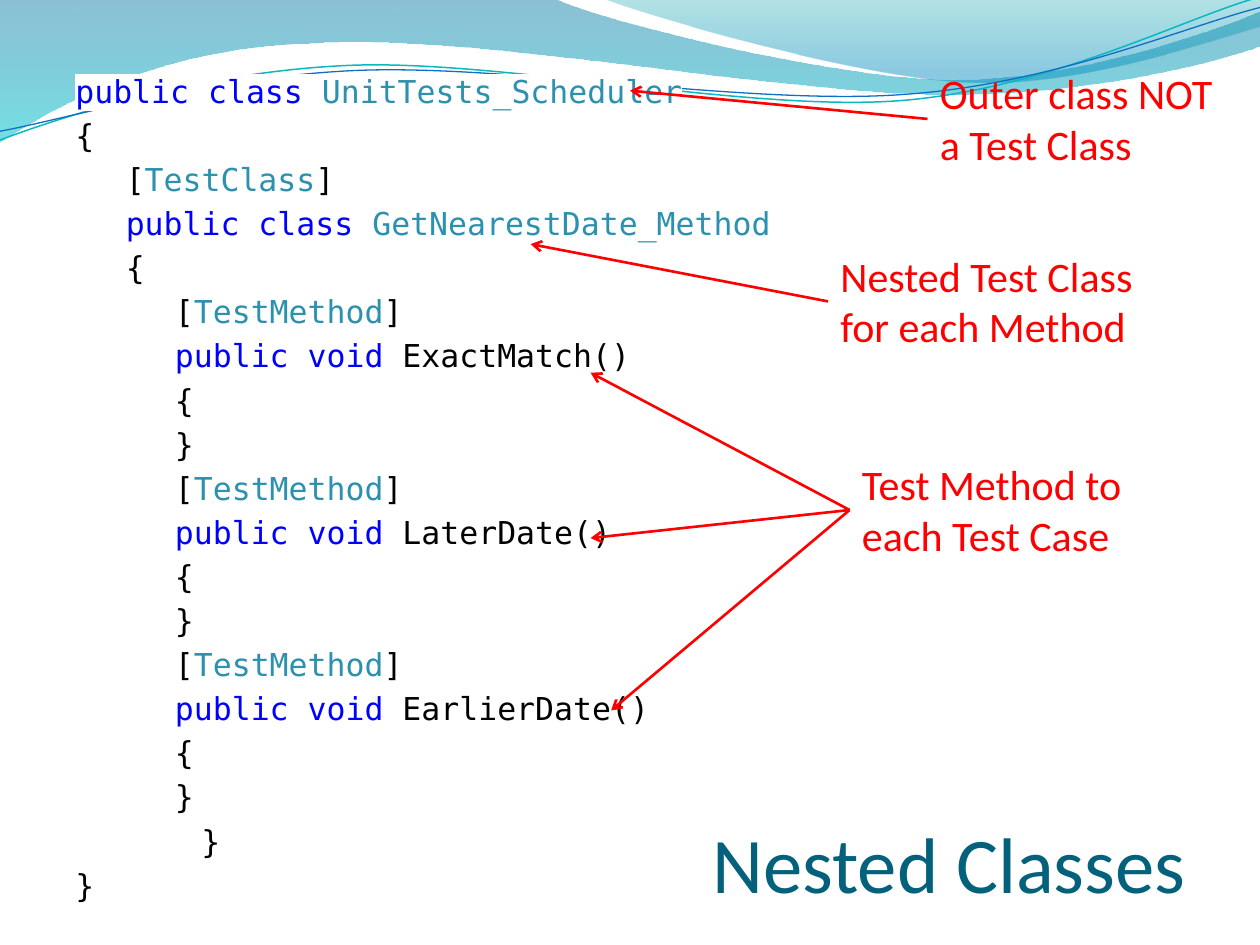
"""Builds the Nested Classes slide with annotated code and wave banner."""
from lxml import etree
from pptx import Presentation, util as u
from pptx.dml.color import RGBColor
from pptx.enum import shapes, text
from pptx.oxml.ns import qn

HUES = {
    "white": "FFFFFF", "black": "000000", "key": "0000FF", "type": "2B91AF",
    "note": "FF0000", "title": "04617B", "blue": "0F6FC6", "teal": "0AB8BF",
    "deep": "0074A1", "aqua": "00C6CF", "sea": "00A1A9", "sky": "008BBF",
}
KINDS = {word: "key" for word in ("public", "class", "void")}
KINDS.update({word: "type" for word in (
    "UnitTests_Scheduler", "TestClass", "GetNearestDate_Method", "TestMethod")})


class Deck:
    """Holds the style and the current slide."""
    sans, mono = "Calibri", "DejaVu Sans Mono"

    def __init__(self, wide, high):
        self.prs = Presentation()
        self.prs.slide_width, self.prs.slide_height = u.Pt(wide), u.Pt(high)
        self.slide = self.prs.slides.add_slide(self.prs.slide_layouts[6])

    def hue(self, name):
        return RGBColor.from_string(HUES[name])

    def font(self, run, size, name, hue):
        run.font.size, run.font.name = u.Pt(size), name
        run.font.color.rgb = self.hue(hue)

    def trace(self, start, steps, closed):
        dots = [(u.Pt(s[i]), u.Pt(s[i + 1])) for s in steps for i in range(0, len(s), 2)]
        pen = self.slide.shapes.build_freeform(u.Pt(start[0]), u.Pt(start[1]), scale=1.0)
        pen.add_line_segments(dots, close=closed)
        shape = pen.convert_to_shape()
        shape.shadow.inherit = False
        legs = iter(list(shape._element.spPr.iter(qn("a:lnTo"))))
        for step in steps:
            leg = next(legs)
            if len(step) == 6:
                leg.tag = qn("a:cubicBezTo")
                for _ in range(2):
                    more = next(legs)
                    leg.append(more[0])
                    more.getparent().remove(more)
        return shape

    def wave(self, start, steps, stops):
        shape = self.trace(start, steps, True)
        shape.line.fill.background()
        shape.fill.gradient()
        shape.fill.gradient_angle = 270
        for stop, (place, hue, _) in zip(shape.fill.gradient_stops, stops):
            stop.position = place
            stop.color.rgb = self.hue(hue)
        for node, (_, _, alpha) in zip(shape._element.spPr.iter(qn("a:srgbClr")), stops):
            etree.SubElement(node, qn("a:alpha"), val=str(alpha * 1000))

    def curve(self, start, steps, hue, width):
        shape = self.trace(start, steps, False)
        shape.fill.background()
        shape.line.color.rgb, shape.line.width = self.hue(hue), u.Pt(width)

    def box(self, x, y, w, h):
        frame = self.slide.shapes.add_textbox(u.Pt(x), u.Pt(y), u.Pt(w), u.Pt(h)).text_frame
        frame.word_wrap = True
        return frame

    def label(self, x, y, w, h, words, size, hue):
        frame = self.box(x, y, w, h)
        frame.text = words
        for para in frame.paragraphs:
            for run in para.runs:
                self.font(run, size, self.sans, hue)
        return frame

    def title(self, x, y, w, h, words):
        frame = self.label(x, y, w, h, words, 45, "title")
        frame.vertical_anchor = text.MSO_ANCHOR.BOTTOM
        frame.margin_left = frame.margin_right = frame.margin_bottom = 0
        frame.paragraphs[0].alignment = text.PP_ALIGN.RIGHT

    def code(self, x, y, w, h, lines):
        frame = self.box(x, y, w, h)
        for i, (inset, line) in enumerate(lines):
            para = frame.paragraphs[0] if i == 0 else frame.add_paragraph()
            para.space_before = u.Pt(3.6 if i else 0)
            para._p.get_or_add_pPr().set("marL", str(u.Pt(inset)))
            for part in line.split("|"):
                run = para.add_run()
                run.text = part
                self.font(run, 18, self.mono, KINDS.get(part, "black"))
                mark = etree.Element(qn("a:highlight"))
                etree.SubElement(mark, qn("a:srgbClr"), val=HUES["white"])
                run._r.rPr.find(qn("a:solidFill")).addnext(mark)

    def arrow(self, start, end):
        line = self.slide.shapes.add_connector(
            shapes.MSO_CONNECTOR.STRAIGHT, *(u.Pt(v) for v in start + end))
        line.line.color.rgb, line.line.width = self.hue("note"), u.Pt(1.5)
        etree.SubElement(line.line._get_or_add_ln(), qn("a:tailEnd"), type="arrow")
        etree.SubElement(line._element.spPr, qn("a:effectLst"))


deck = Deck(720, 540)

deck.wave((0, 0), [
    (317, -0.7), (343, 12, 478, 45.4, 546, 45.4), (614, 45.4, 690, 19, 720, 6.5),
    (720.7, 26), (708, 32, 626, 55, 537, 54), (448, 54, 275, 20, 185, 24.5),
    (93, 26, 33, 60, -0.7, 81.4), (0, 0)], [(0, "deep", 45), (1, "aqua", 55)])
deck.wave((345, -0.7), [
    (366, 8, 491, 44.6, 554, 46.8), (616, 49.7, 692, 23, 720, 15),
    (720, 0), (345, -0.7)], [(0, "sea", 30), (0.8, "sky", 45)])
deck.curve((0, 80), [
    (34.6, 67, 113.8, 41, 199.4, 37.4), (284.4, 33.8, 427, 64, 513.4, 57.6),
    (599.8, 51, 675.4, 10.8, 718.6, -1.4)], "teal", 0.85)
deck.curve((0, 75), [
    (33.8, 69, 118, 44, 203.8, 40.3), (290, 36.7, 430, 60.5, 516.2, 54),
    (602, 48.2, 677.5, 15, 720, 4.3)], "blue", 0.75)

OUTER, INNER, DEEP, CLOSE = 0, 28.8, 56.9, 72
lines = [
    (OUTER, "public| |class| |UnitTests_Scheduler"), (OUTER, "{"),
    (INNER, "[|TestClass|]"),
    (INNER, "public| |class| |GetNearestDate_Method"), (INNER, "{")]
for case in ("ExactMatch", "LaterDate", "EarlierDate"):
    lines += [(DEEP, part) for part in (
        "[|TestMethod|]", f"public| |void| {case}()", "{", "}")]
lines += [(CLOSE, "}"), (OUTER, "}")]
deck.code(36, 37.5, 664, 502.5, lines)
deck.title(133.2, 457, 544.3, 62.8, "Nested Classes")

notes = [
    (530, 35.2, 177, "Outer class NOT\na Test Class", [(360, 51.8)]),
    (473.2, 139.5, 183, "Nested Test Class\nfor each Method", [(303.2, 139.5)]),
    (485.5, 258.7, 169, "Test Method to\neach Test Case",
     [(337.5, 213), (337.5, 307.5), (349.2, 406)]),
]
for x, y, w, words, ends in notes:
    deck.label(x, y, w, 65.5, words, 24, "note")
    for end in ends:
        deck.arrow((x, y + 32.75), end)

deck.prs.save("out.pptx")
